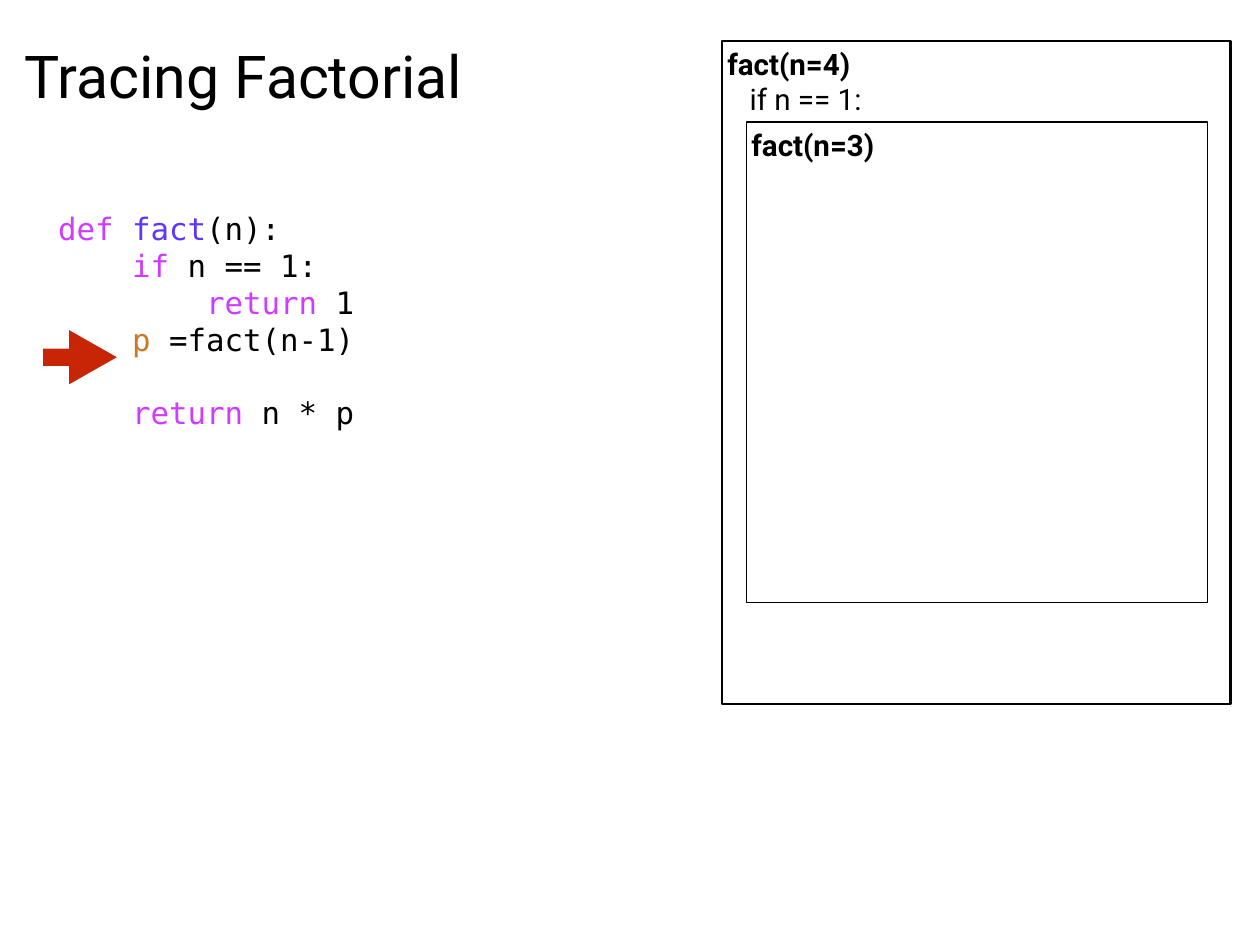
import pptx
import pptx.dml.color
import pptx.enum.shapes
import pptx.enum.text
import pptx.util
from pptx.util import Cm

TEXT_FONT = "Roboto"
CODE_FONT = "DejaVu Sans Mono"
BLACK = "000000"
WHITE = "FFFFFF"
KEYWORD = "D03CFF"
FUNCTION = "5E34FF"
VARIABLE = "CD7923"
RED = "C82506"
CODE_LINE = 30  # points

# Each line is a list of (text, colour) pieces.
CODE = [
    [("def ", KEYWORD), ("fact", FUNCTION), ("(n):", BLACK)],
    [("    if", KEYWORD), (" n == 1:", BLACK)],
    [("        return", KEYWORD), (" 1", BLACK)],
    [("    p", VARIABLE), (" =fact(n-1)", BLACK)],
    [("    return", KEYWORD), (" n * p", BLACK)],
]


def rgb(colour):
    return pptx.dml.color.RGBColor.from_string(colour)


def add_run(paragraph, text, size=24, font=TEXT_FONT, colour=BLACK, bold=False):
    run = paragraph.add_run()
    run.text = text
    run.font.size = pptx.util.Pt(size)
    run.font.name = font
    run.font.color.rgb = rgb(colour)
    run.font.bold = bold


def prepare_frame(shape, anchor):
    """Set wrapping, insets and anchor, and return the text frame."""
    frame = shape.text_frame
    frame.word_wrap = True
    frame.auto_size = pptx.enum.text.MSO_AUTO_SIZE.NONE
    frame.vertical_anchor = anchor
    frame.margin_left = frame.margin_right = Cm(0.15)
    frame.margin_top = frame.margin_bottom = Cm(0.15)
    return frame


def next_paragraph(frame, index):
    paragraph = frame.add_paragraph() if index else frame.paragraphs[0]
    paragraph.alignment = pptx.enum.text.PP_ALIGN.LEFT
    return paragraph


def set_title(slide, text):
    title = slide.shapes.title
    title.left, title.top = Cm(0.56), Cm(0.36)
    title.width, title.height = Cm(16.46), Cm(3.58)
    frame = prepare_frame(title, pptx.enum.text.MSO_ANCHOR.MIDDLE)
    add_run(next_paragraph(frame, 0), text, size=48)


def add_code(slide, lines, left, top, width, height):
    box = slide.shapes.add_textbox(left, top, width, height)
    frame = prepare_frame(box, pptx.enum.text.MSO_ANCHOR.MIDDLE)
    for index, pieces in enumerate(lines):
        paragraph = next_paragraph(frame, index)
        paragraph.line_spacing = pptx.util.Pt(CODE_LINE)
        for text, colour in pieces:
            add_run(paragraph, text, size=25, font=CODE_FONT, colour=colour)
    # The last statement stands one line apart.
    paragraph.space_before = pptx.util.Pt(CODE_LINE)


def add_filled_shape(slide, kind, left, top, width, height, fill):
    shape = slide.shapes.add_shape(kind, left, top, width, height)
    shape.shadow.inherit = False
    shape.fill.solid()
    shape.fill.fore_color.rgb = rgb(fill)
    shape.line.fill.background()
    return shape


def add_call_frame(slide, left, top, width, height, call, body=(), line_width=1):
    """Draw a call's box: its name in bold, then its indented statements."""
    box = add_filled_shape(slide, pptx.enum.shapes.MSO_SHAPE.RECTANGLE,
                           left, top, width, height, WHITE)
    box.line.color.rgb = rgb(BLACK)
    box.line.width = pptx.util.Pt(line_width)
    frame = prepare_frame(box, pptx.enum.text.MSO_ANCHOR.TOP)
    add_run(next_paragraph(frame, 0), call, bold=True)
    for index, statement in enumerate(body, start=1):
        paragraph = next_paragraph(frame, index)
        paragraph.level = 1
        properties = paragraph._p.get_or_add_pPr()
        properties.set("marL", str(Cm(0.64)))
        properties.set("indent", "0")
        add_run(paragraph, statement)


def add_step_arrow(slide, left, top, width, height):
    arrow = add_filled_shape(slide, pptx.enum.shapes.MSO_SHAPE.RIGHT_ARROW,
                             left, top, width, height, RED)
    arrow.adjustments[0] = 0.32
    arrow.adjustments[1] = 0.88


def main():
    presentation = pptx.Presentation()
    presentation.slide_width = Cm(36.12)
    presentation.slide_height = Cm(27.1)
    slide = presentation.slides.add_slide(presentation.slide_layouts[5])
    set_title(slide, "Tracing Factorial")
    add_code(slide, CODE, Cm(1.52), Cm(6.48), Cm(17.37), Cm(5.41))
    add_call_frame(slide, Cm(20.7), Cm(1.17), Cm(14.58), Cm(19.02),
                   "fact(n=4)", body=["if n == 1:"], line_width=2)
    add_call_frame(slide, Cm(21.39), Cm(3.5), Cm(13.23), Cm(13.77), "fact(n=3)")
    add_step_arrow(slide, Cm(1.24), Cm(9.47), Cm(2.11), Cm(1.55))
    presentation.save("out.pptx")


if __name__ == "__main__":
    main()
